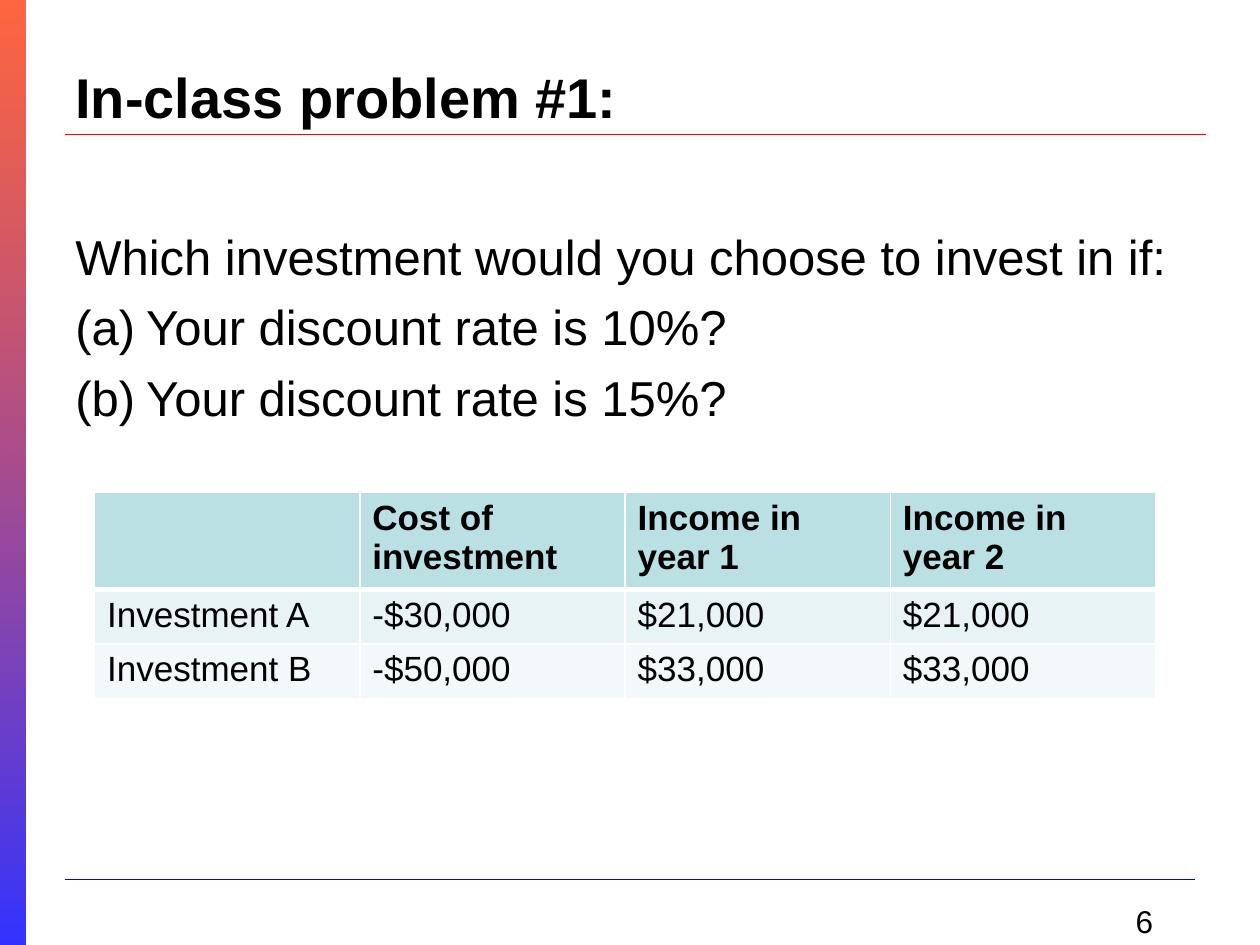
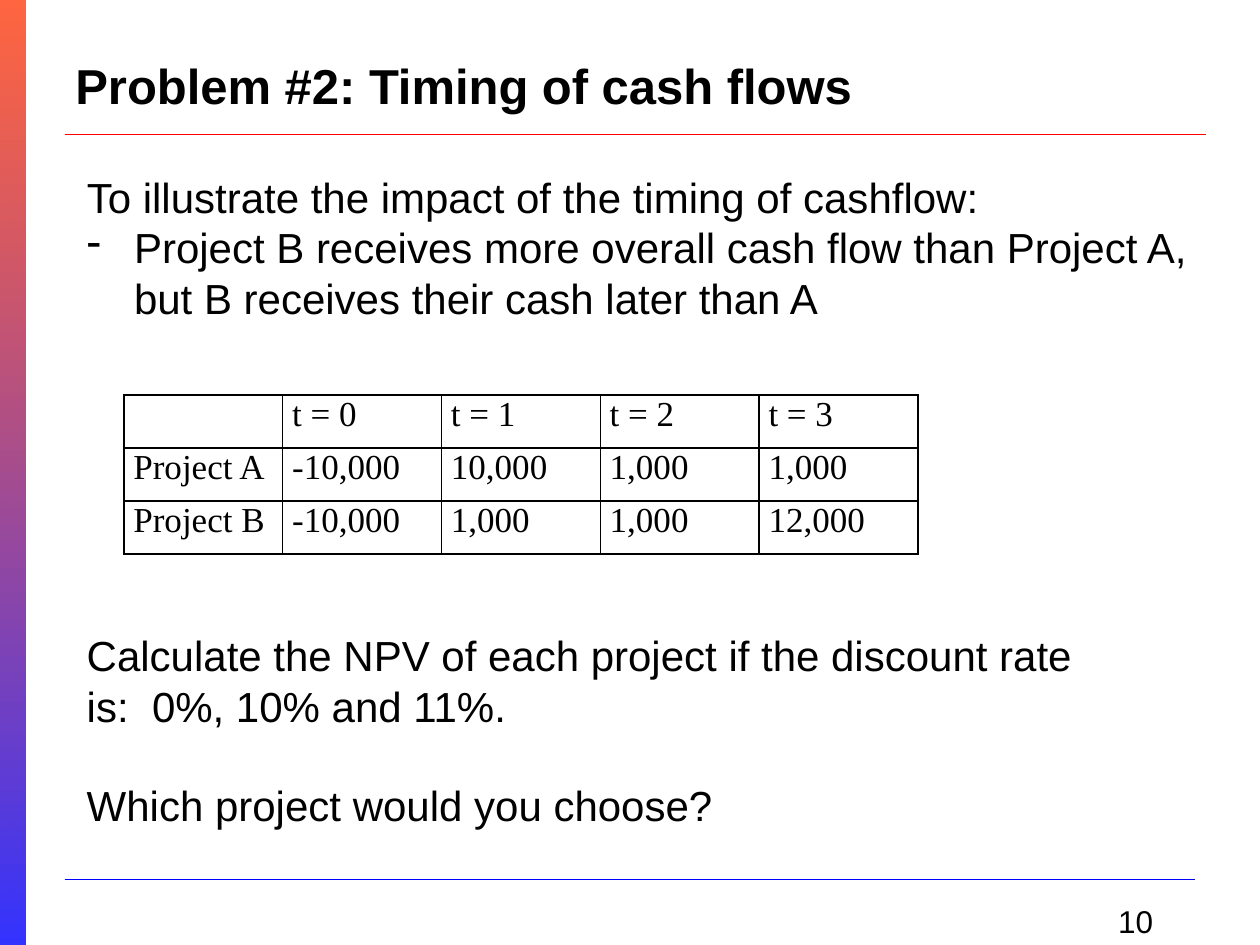
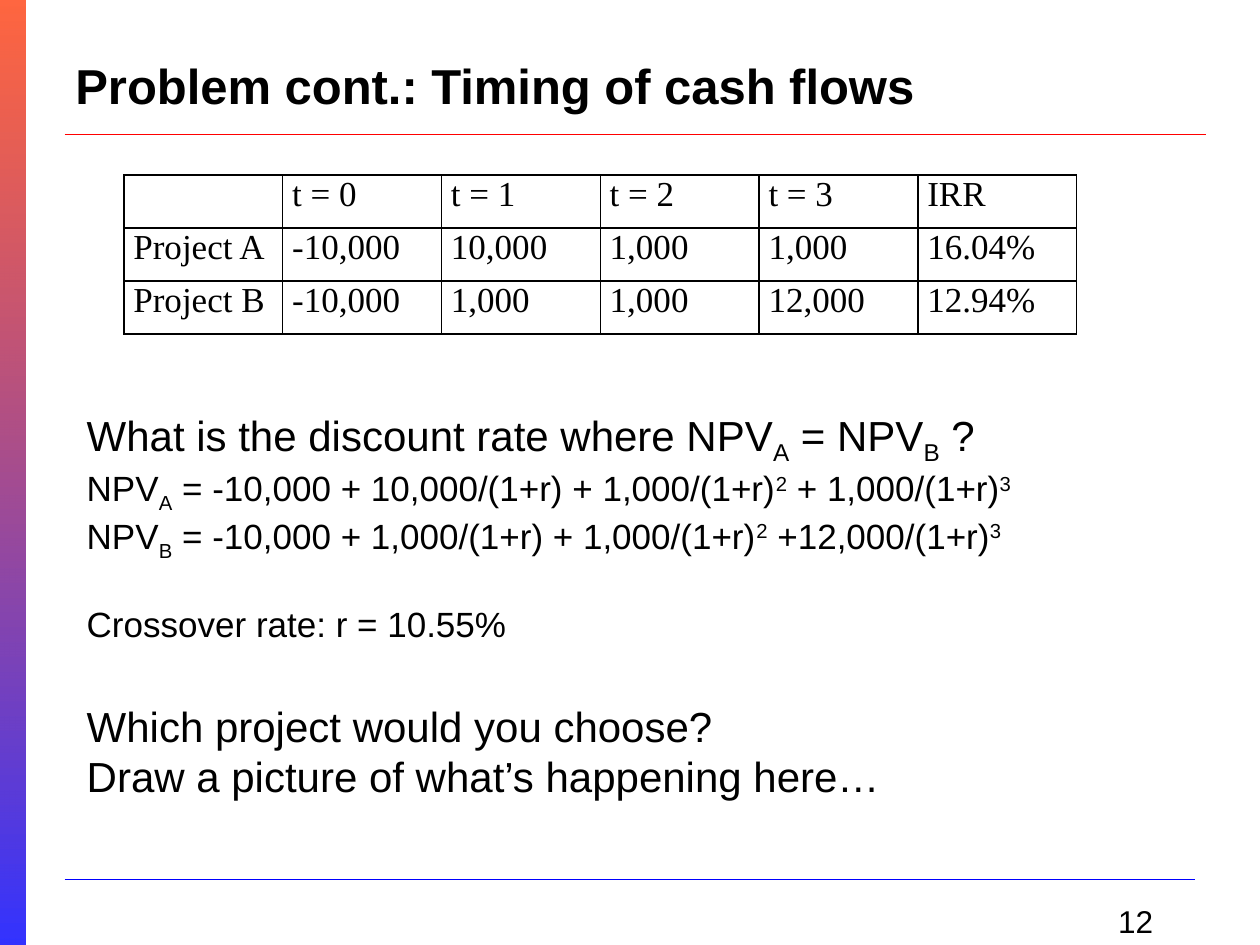
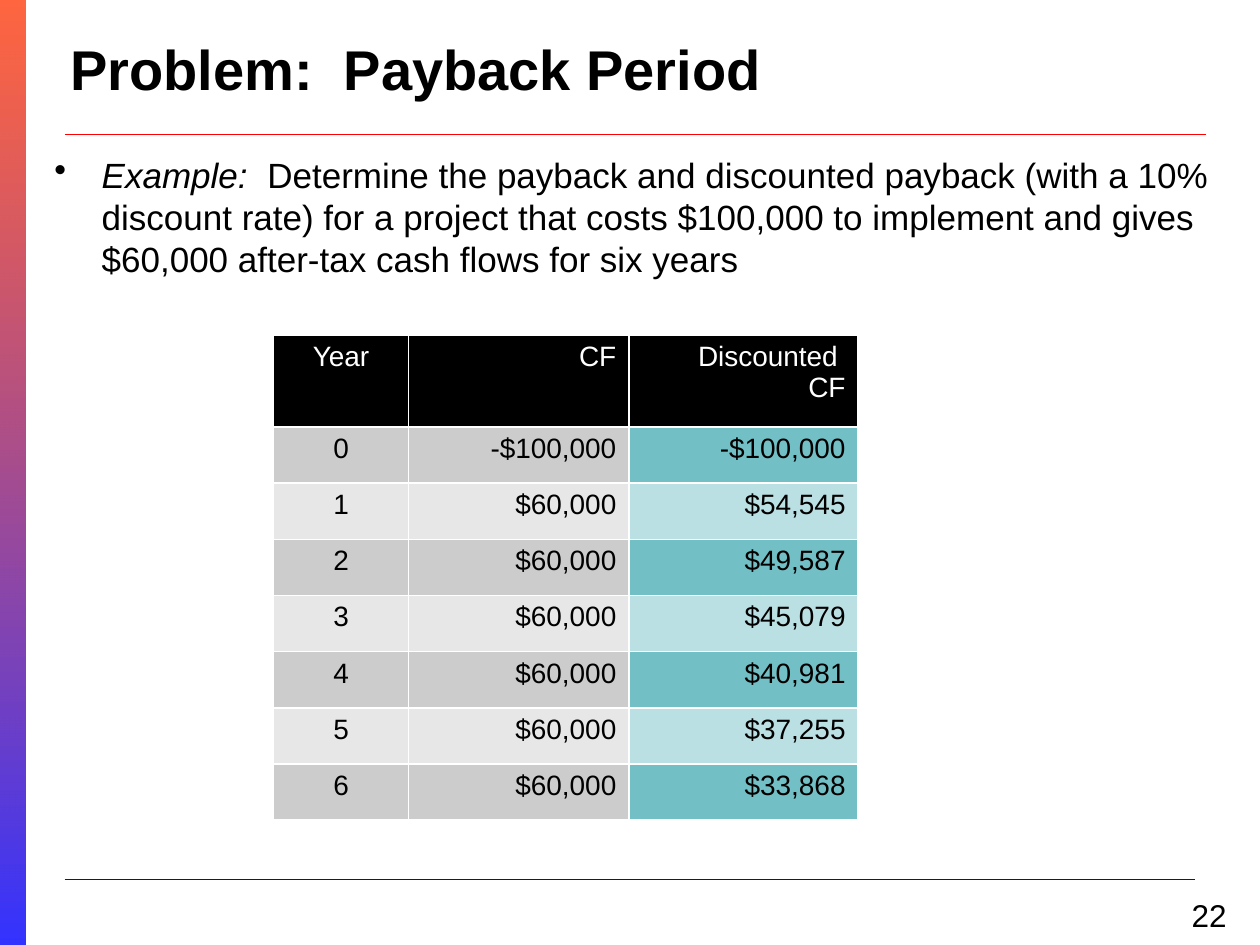
"""Build four capital-budgeting problem slides."""
from dataclasses import dataclass

from lxml.etree import SubElement
from pptx import Presentation
from pptx.dml.color import RGBColor
from pptx.enum.shapes import MSO_CONNECTOR, MSO_SHAPE
from pptx.enum.text import MSO_ANCHOR, PP_ALIGN
from pptx.oxml.ns import qn
from pptx.util import Pt


@dataclass(frozen=True)
class Theme:
    font: str = "Arial"
    serif: str = "Times New Roman"
    black: str = "000000"
    white: str = "FFFFFF"
    band_top: str = "FF3300"
    band_bottom: str = "3333FF"
    title_rule: str = "FF0000"
    footer_rule: str = "0000FF"
    teal: str = "BBE0E3"
    teal_dark: str = "72BFC5"
    teal_light: str = "E7F3F4"
    teal_pale: str = "F3F9FA"
    grey: str = "CCCCCC"
    grey_light: str = "E7E7E7"
    title: int = 32
    title_small: int = 28
    lead: int = 28
    body: int = 24
    detail: int = 20
    number: int = 18
    cell: int = 20
    cell_small: int = 16


T = Theme()
BASELINES = {"_": "-25000", "^": "30000"}


def add_text(s, box, lines, size, bold=False, align=PP_ALIGN.LEFT, anchor=MSO_ANCHOR.TOP):
    tf = s.shapes.add_textbox(*map(Pt, box)).text_frame
    tf.word_wrap = True
    tf.vertical_anchor = anchor
    for i, line in enumerate(lines):
        p = tf.add_paragraph() if i else tf.paragraphs[0]
        p.alignment = align
        for piece in line.split("|"):
            r = p.add_run()
            r.text = piece.lstrip("_^")
            r.font.name, r.font.size, r.font.bold = T.font, Pt(size), bold
            r.font.color.rgb = RGBColor.from_string(T.black)
            if piece[0] in BASELINES:
                r._r.get_or_add_rPr().set("baseline", BASELINES[piece[0]])
    return tf.paragraphs


def add_grid(s, at, cols, rows, data, fills, size, font, border, head=1, inset=(7.2, 3.6)):
    shape = s.shapes.add_table(len(rows), len(cols), *map(Pt, (*at, sum(cols), sum(rows))))
    table = shape.table
    table.first_row = table.horz_banding = False
    for col, width in zip(table.columns, cols):
        col.width = Pt(width)
    for i, height in enumerate(rows):
        table.rows[i].height = Pt(height)
        for j, text in enumerate(data[i]):
            cell = table.cell(i, j)
            cell.margin_left = cell.margin_right = Pt(inset[0])
            cell.margin_top = cell.margin_bottom = Pt(inset[1])
            for side in "LRTB":
                thick = (side, i) in (("B", 0), ("T", 1))
                ln = SubElement(cell._tc.get_or_add_tcPr(), qn(f"a:ln{side}"), w=str(Pt(head if thick else 1)))
                SubElement(SubElement(ln, qn("a:solidFill")), qn("a:srgbClr"), val=border)
            if fills:
                cell.fill.solid()
                cell.fill.fore_color.rgb = RGBColor.from_string(fills[i][j])
            else:
                cell.fill.background()
            cell.text_frame.text = text
            for p in cell.text_frame.paragraphs:
                for r in p.runs:
                    r.font.name, r.font.size = font, Pt(size)
                    r.font.color.rgb = RGBColor.from_string(T.black)
    return table


prs = Presentation()
prs.slide_width, prs.slide_height = Pt(720), Pt(540)

number_box = (516, 512, 150, 36)
frames = [
    ("In-class problem #1:", (36, 21.6, 648, 67), T.title, "6", number_box),
    ("Problem #2: Timing of cash flows", (36, 15, 648, 67), T.title_small, "10", number_box),
    ("Problem cont.: Timing of cash flows", (36, 15, 648, 67), T.title_small, "12", number_box),
    ("Problem:  Payback Period", (33, 6, 684, 66), T.title, "22", (648, 508.5, 60, 19.5)),
]
slides = []
for title, title_box, size, number, num_box in frames:
    s = prs.slides.add_slide(prs.slide_layouts[6])
    slides.append(s)
    band = s.shapes.add_shape(MSO_SHAPE.RECTANGLE, 0, 0, Pt(14.4), Pt(540))
    band.shadow.inherit = False
    band.line.fill.background()
    band.fill.gradient()
    band.fill.gradient_angle = 270
    for stop, color in zip(band.fill.gradient_stops, (T.band_top, T.band_bottom)):
        stop.color.rgb = RGBColor.from_string(color)
    top_color = next(band._element.spPr.iter(qn("a:srgbClr")))
    SubElement(top_color, qn("a:alpha"), val="75000")
    for y, right, color in ((77, 689, T.title_rule), (502.5, 683, T.footer_rule)):
        rule = s.shapes.add_connector(MSO_CONNECTOR.STRAIGHT, Pt(37), Pt(y), Pt(right), Pt(y))
        rule.line.width = Pt(0.75)
        rule.line.color.rgb = RGBColor.from_string(color)
        SubElement(rule._element.spPr, qn("a:effectLst"))
    add_text(s, title_box, [title], size, bold=True, anchor=MSO_ANCHOR.MIDDLE)
    add_text(s, num_box, [number], T.number, align=PP_ALIGN.RIGHT)

choice, timing, crossover, payback = slides
bullets = []

question = add_text(choice, (36, 126, 648, 356), [
    "Which investment would you choose to invest in if:",
    "Your discount rate is 10%?",
    "Your discount rate is 15%?",
], T.lead)
for p in question:
    p.space_before = Pt(6.5)
for p in question[1:]:
    bullets.append((p, "a:buAutoNum", {"type": "alphaLcParenBoth"}, 40.5))
investments = add_grid(choice, (54, 281.5), [151.6] * 4, [51.2, 29.5, 29.5], [
    ["", "Cost of investment", "Income in year 1", "Income in year 2"],
    ["Investment A", "-$30,000", "$21,000", "$21,000"],
    ["Investment B", "-$50,000", "$33,000", "$33,000"],
], [[color] * 4 for color in (T.teal, T.teal_light, T.teal_pale)], T.cell, T.font, T.white, head=3)
for cell in list(investments.rows[0].cells)[1:]:
    cell.text_frame.paragraphs[0].runs[0].font.bold = True

flows = [
    ["", "t = 0", "t = 1", "t = 2", "t = 3"],
    ["Project A", "-10,000", "10,000", "1,000", "1,000"],
    ["Project B", "-10,000", "1,000", "1,000", "12,000"],
]
flows_irr = [row + [irr] for row, irr in zip(flows, ("IRR", "16.04%", "12.94%"))]
for s, top, data in ((timing, 225.8, flows), (crossover, 100, flows_irr)):
    add_grid(s, (70.8, top), [90.75] * len(data[0]), [30.25] * 3, data, None,
             T.cell, T.serif, T.black, inset=(5.4, 0))

task = add_text(timing, (42.5, 356.4, 590, 124), [
    "Calculate the NPV of each project if the discount rate is:  0%, 10% and 11%.",
    "Which project would you choose?",
], T.body)
task[1].space_before = Pt(28)
intro = add_text(timing, (42.5, 94.5, 652, 94), [
    "To illustrate the impact of the timing of cashflow:",
    "Project B receives more overall cash flow than Project A, but B receives their cash later than A",
], T.body)
bullets.append((intro[1], "a:buChar", {"char": "-"}, 27))

rates = add_text(crossover, (42.5, 230.4, 590, 225), [
    "What is the discount rate where NPV|_A| = NPV|_B| ?",
    "NPV|_A| = -10,000 + 10,000/(1+r) + 1,000/(1+r)|^2| + 1,000/(1+r)|^3",
    "NPV|_B| = -10,000 + 1,000/(1+r) + 1,000/(1+r)|^2| +12,000/(1+r)|^3",
    "Crossover rate: r = 10.55%",
    "Which project would you choose?",
    "Draw a picture of what’s happening here…",
], T.body)
for p in rates[1:4]:
    for r in p.runs:
        r.font.size = Pt(T.detail)
rates[3].space_before = Pt(23)
rates[4].space_before = Pt(32)

example = add_text(payback, (24, 84, 684, 95), [
    "Example:  |Determine the payback and discounted payback (with a 10% discount rate) for a project "
    "that costs $100,000 to implement and gives $60,000 after-tax cash flows for six years",
], T.detail)[0]
example.space_before = Pt(4)
example.runs[0].font.italic = True
bullets.append((example, "a:buChar", {"char": "•"}, 27))

discounted = ["$54,545", "$49,587", "$45,079", "$40,981", "$37,255", "$33,868"]
years = [["Year", "CF", "Discounted \nCF"], ["0", "-$100,000", "-$100,000"]]
years += [[str(year), "$60,000", value] for year, value in enumerate(discounted, 1)]
stripes = [[T.grey, T.grey, T.teal_dark], [T.grey_light, T.grey_light, T.teal]]
year_fills = [[T.black] * 3] + [stripes[i % 2] for i in range(7)]
schedule = add_grid(payback, (156.4, 191.5), [77, 126, 131], [52.5] + [32.1] * 7,
                    years, year_fills, T.cell_small, T.font, T.white)
for i, row in enumerate(schedule.rows):
    for j, cell in enumerate(row.cells):
        for p in cell.text_frame.paragraphs:
            p.alignment = PP_ALIGN.RIGHT if j else PP_ALIGN.CENTER
            if i == 0:
                p.runs[0].font.color.rgb = RGBColor.from_string(T.white)

for p, tag, attrs, indent in bullets:
    pPr = p._p.get_or_add_pPr()
    pPr.set("marL", str(Pt(indent)))
    pPr.set("indent", str(-Pt(indent)))
    SubElement(pPr, qn(tag), attrs)

prs.save("out.pptx")
